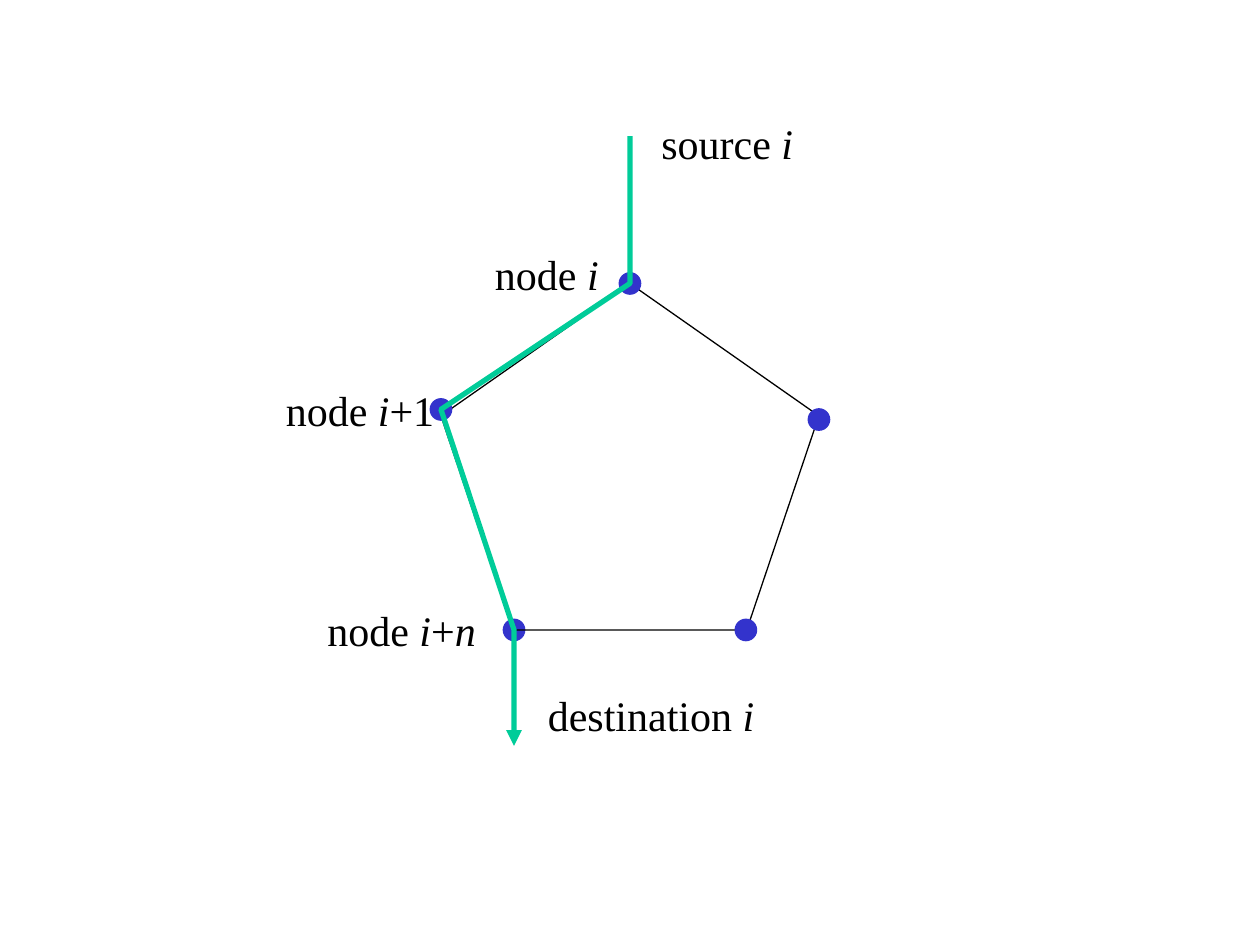
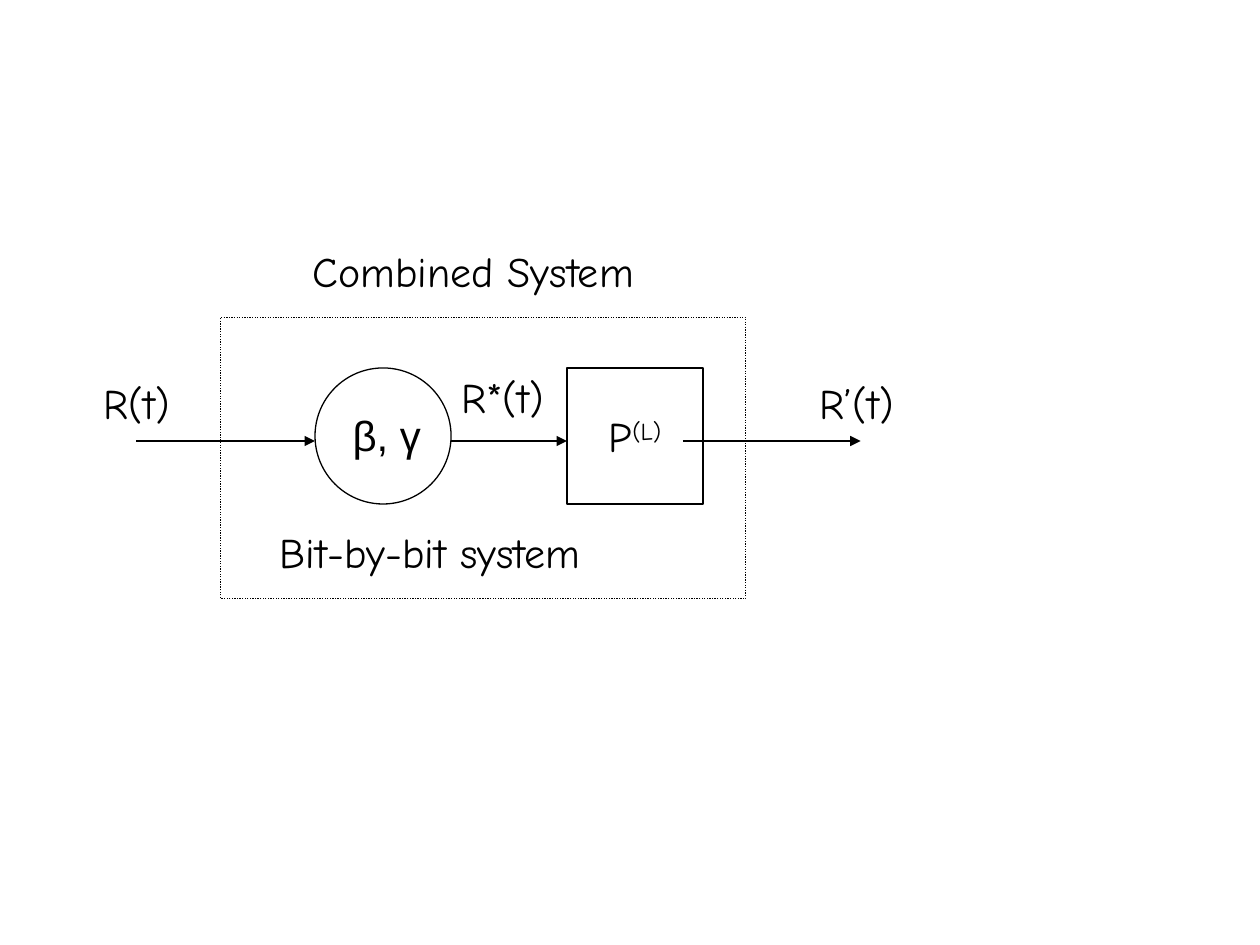
"""Build two diagrams: a route round a ring of nodes, and a combined system."""
import pptx
import pptx.dml.color
import pptx.enum.dml
import pptx.enum.shapes
import pptx.enum.text
import pptx.oxml
import pptx.oxml.ns
import pptx.util

Inches = pptx.util.Inches
RGBColor = pptx.dml.color.RGBColor
KIND = pptx.enum.shapes.MSO_SHAPE
ALIGN = pptx.enum.text.PP_ALIGN
ANCHOR = pptx.enum.text.MSO_ANCHOR
FIT = pptx.enum.text.MSO_AUTO_SIZE

BLACK = RGBColor(0, 0, 0)
WHITE = RGBColor(0xFF, 0xFF, 0xFF)
BLUE = RGBColor(0x33, 0x33, 0xCC)
GREEN = RGBColor(0, 0xCC, 0x99)
SERIF, COMIC, SANS = "Times New Roman", "Comic Neue", "Arial"

DOT = 0.17
RING = (3.5, 2.25, 3, 2.75)
NODES = [(4.08, 5), (5.92, 5), (6.5, 3.33), (5, 2.25), (3.5, 3.25)]
EXIT, _, _, ENTRY, NEXT = NODES
ROUTE = [(ENTRY[0], 1.08), ENTRY, NEXT, EXIT, (EXIT[0], 5.92)]
LABELS = [
    ((3.83, 1.92, 1.06, 0.5), [("node ", ""), ("i", "i")]),
    ((2.5, 4.75, 1.4, 0.5), [("node ", ""), ("i", "i"), ("+", ""), ("n", "i")]),
    ((5.15, 0.88, 1.28, 0.5), [("source ", ""), ("i", "i")]),
    ((4.25, 5.42, 1.86, 0.5), [("destination ", ""), ("i", "i")]),
    ((2.17, 3, 1.4, 0.5), [("node ", ""), ("i", "i"), ("+1", "")]),
]

SIDE, TOP, FLOW = 1.08, 2.92, 3.5
CIRCLE = (2.5, TOP, SIDE, SIDE)
SQUARE = (4.5, TOP, SIDE, SIDE)
FRAME = (1.75, 2.52, 4.17, 2.23)
POWER = [("P", ""), ("(L)", "sup")]
ARROWS = [(1.08, 2.5), (5.42, 6.83), (3.58, 4.5)]
CAPTION = ((2.1, 4.13, 2.63, 0.5), "Bit-by-bit system")
SIGNAL = ((3.54, 2.9, 0.9, 0.5), "R*(t)", COMIC)
TITLE = ((2.36, 1.9, 2.79, 0.5), "Combined System", COMIC)
TAGS = [
    ((0.7, 2.95, 0.77, 0.5), "R(t)", COMIC),
    ((6.38, 2.95, 0.84, 0.5), "R’(t)", COMIC),
    ((2.64, 3.2, 0.86, 0.5), "β, γ", SANS),
]


def inch(vals):
    return [Inches(val) for val in vals]


def stroke(item, color, width=0.75, arrow=False):
    item.line.color.rgb = color
    item.line.width = pptx.util.Pt(width)
    if arrow:
        line = item.line._get_or_add_ln()
        line.append(pptx.oxml.parse_xml(
            f'<a:tailEnd {pptx.oxml.ns.nsdecls("a")} type="triangle"/>'))


def draw(shapes, kind, area, line=BLACK, fill=None):
    item = shapes.add_shape(kind, *inch(area))
    item.shadow.inherit = False
    if fill is None:
        item.fill.background()
    else:
        item.fill.solid()
        item.fill.fore_color.rgb = fill
    stroke(item, line)
    return item


def write(item, runs, font, align=ALIGN.CENTER, anchor=ANCHOR.TOP, grow=True):
    frame = item.text_frame
    frame.word_wrap = False
    frame.vertical_anchor = anchor
    frame.auto_size = FIT.SHAPE_TO_FIT_TEXT if grow else FIT.NONE
    para = frame.paragraphs[0]
    para.alignment = align
    for text, style in runs:
        run = para.add_run()
        run.text = text
        run.font.name = font
        run.font.size = pptx.util.Pt(24)
        run.font.color.rgb = BLACK
        run.font.italic = style == "i"
        if style == "sup":
            run._r.get_or_add_rPr().set("baseline", "30000")


def tag(shapes, area, text, font):
    write(draw(shapes, KIND.RECTANGLE, area, WHITE), [(text, "")], font)


def arrow(shapes, left, right):
    kind = pptx.enum.shapes.MSO_CONNECTOR.STRAIGHT
    item = shapes.add_connector(kind, *inch((left, FLOW, right, FLOW)))
    stroke(item, BLACK, arrow=True)
    item._element.spPr.append(pptx.oxml.parse_xml(
        f'<a:effectLst {pptx.oxml.ns.nsdecls("a")}/>'))


def dot(shapes, node):
    x, y = node
    draw(shapes, KIND.OVAL, (x - DOT / 2, y - DOT / 2, DOT, DOT), BLUE, BLUE)


def ring(slide):
    shapes = slide.shapes.add_group_shape().shapes
    dot(shapes, NODES[0])
    draw(shapes, KIND.REGULAR_PENTAGON, RING)
    for node in NODES[1:]:
        dot(shapes, node)
    start, *rest = [inch(point) for point in ROUTE]
    pen = shapes.build_freeform(*start)
    pen.add_line_segments(rest, close=False)
    path = pen.convert_to_shape()
    path.shadow.inherit = False
    path.fill.background()
    stroke(path, GREEN, 3, arrow=True)
    for area, runs in LABELS:
        write(shapes.add_textbox(*inch(area)), runs, SERIF, ALIGN.LEFT)


def system(slide):
    shapes = slide.shapes
    tag(shapes, *SIGNAL)
    draw(shapes, KIND.OVAL, CIRCLE)
    square = draw(shapes, KIND.RECTANGLE, SQUARE)
    write(square, POWER, COMIC, anchor=ANCHOR.MIDDLE, grow=False)
    area, text = CAPTION
    write(shapes.add_textbox(*inch(area)), [(text, "")], COMIC)
    tag(shapes, *TITLE)
    frame = draw(shapes, KIND.RECTANGLE, FRAME)
    frame.line.dash_style = pptx.enum.dml.MSO_LINE.ROUND_DOT
    for ends in ARROWS:
        arrow(shapes, *ends)
    for item in TAGS:
        tag(shapes, *item)


def main():
    deck = pptx.Presentation()
    deck.slide_width, deck.slide_height = inch((10, 7.5))
    for build in (ring, system):
        build(deck.slides.add_slide(deck.slide_layouts[6]))
    deck.save("out.pptx")


if __name__ == "__main__":
    main()
